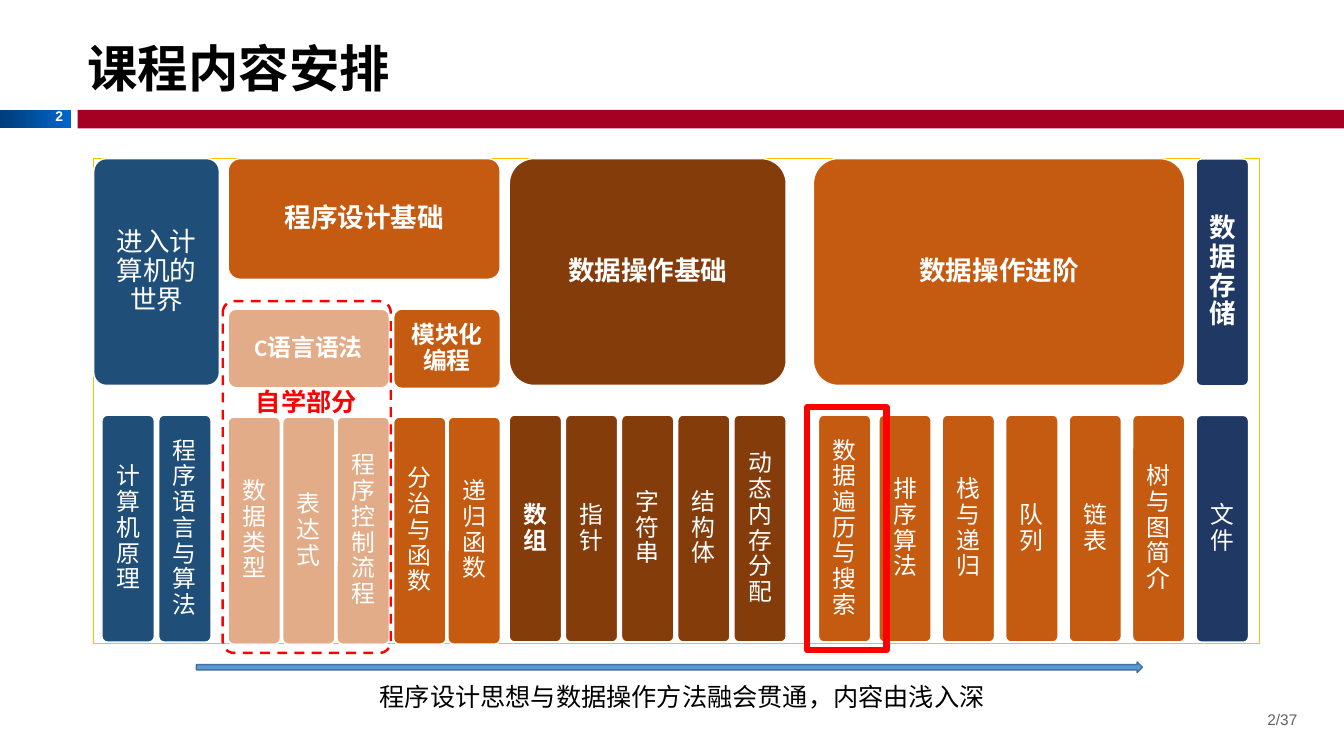
from lxml.etree import SubElement
from pptx import Presentation
from pptx.dml.color import RGBColor
from pptx.enum.dml import MSO_LINE_DASH_STYLE as Dash
from pptx.enum.shapes import MSO_SHAPE as Shape
from pptx.enum.text import MSO_ANCHOR as Anchor, PP_ALIGN as Align
from pptx.oxml.ns import qn
from pptx.util import Pt

COLORS = {
    "black": "000000", "white": "FFFFFF", "grey": "636363",
    "crimson": "A50021", "red": "FF0000", "gold": "FFC000",
    "deep blue": "003C79", "bright blue": "0066CC",
    "blue": "1F4E79", "orange": "C55A11", "brown": "843C0B", "navy": "203864",
    "arrow": "5B9BD5", "arrow edge": "43739E",
}

deck = Presentation()
deck.slide_width, deck.slide_height = Pt(960), Pt(540)
page = deck.slides.add_slide(deck.slide_layouts[6])


def write(box, text, size=18, color="black", bold=False, font="Calibri", align=Align.LEFT,
          anchor=Anchor.TOP, wrap=True, inset=None, spacing=None):
    frame = box.text_frame
    frame.word_wrap = wrap
    frame.vertical_anchor = anchor
    if inset is not None:
        frame.margin_left = frame.margin_right = Pt(inset)
        frame.margin_top = frame.margin_bottom = Pt(inset)
    para = frame.paragraphs[0]
    para.alignment = align
    if spacing:
        para.line_spacing = spacing
    span = para.add_run()
    span.text = text
    span.font.size = Pt(size)
    span.font.bold = bold
    span.font.name = font
    span.font.color.rgb = RGBColor.from_string(COLORS[color])
    SubElement(span._r.get_or_add_rPr(), qn("a:ea")).set("typeface", "Noto Sans CJK SC")


def draw(kind, left, top, width, height, fill=None, line=None, weight=1, corner=None, alpha=None):
    """Add a preset shape; alpha is the opacity of its fill in percent."""
    shape = page.shapes.add_shape(kind, Pt(left), Pt(top), Pt(width), Pt(height))
    shape.shadow.inherit = False
    if corner is not None:
        shape.adjustments[0] = corner
    if fill:
        shape.fill.solid()
        shape.fill.fore_color.rgb = RGBColor.from_string(COLORS[fill])
        if alpha:
            tint = shape.fill._xPr.find(qn("a:solidFill"))[0]
            SubElement(tint, qn("a:alpha")).set("val", str(alpha * 1000))
    else:
        shape.fill.background()
    if line:
        shape.line.color.rgb = RGBColor.from_string(COLORS[line])
        shape.line.width = Pt(weight)
    else:
        shape.line.fill.background()
    return shape


# Header band
number_band = draw(Shape.RECTANGLE, 0, 78.5, 51, 13.2, fill="deep blue")
number_band.fill.gradient()
number_band.fill.gradient_angle = 0
for stop, shade in zip(number_band.fill.gradient_stops, ("deep blue", "bright blue")):
    stop.color.rgb = RGBColor.from_string(COLORS[shade])
draw(Shape.RECTANGLE, 55.4, 78.5, 904.6, 13.2, fill="crimson")

draw(Shape.RECTANGLE, 67, 113, 833, 347, line="gold", weight=0.75)

# Topic cards: text, left, top, width, height, fill, size, bold, inset, corner, alpha
cards = [
    ("进入计算机的世界", 67, 113.3, 89.7, 162, "blue", 19, False, 8.6, 0.1, None),
    ("程序设计基础", 163, 113.3, 194.3, 86.2, "orange", 19, True, 7.9, 0.1, None),
    ("C语言语法", 163, 220.8, 115.2, 56.2, "orange", 17, True, 6.5, 0.1, 50),
    ("模块化编程", 281.2, 220.8, 76.1, 56.6, "orange", 17, True, 6.5, 0.1, None),
    ("数据操作基础", 363.8, 113.3, 197.8, 162, "brown", 19, True, 10, 0.11, None),
    ("数据操作进阶", 581, 113.3, 265.3, 162, "orange", 19, True, 7.2, 0.11, None),
    ("数据存储", 854.5, 113.5, 37.3, 162, "navy", 19, True, 6.5, 0.1, None),
]
for text, left, top, width, height, fill, size, bold, inset, corner, alpha in cards:
    card = draw(Shape.ROUNDED_RECTANGLE, left, top, width, height, fill=fill,
                line="white", corner=corner, alpha=alpha)
    write(card, text, size=size, color="white", bold=bold, align=Align.CENTER,
          anchor=Anchor.MIDDLE, inset=inset, spacing=0.9)

# Lesson columns: left, step, top, fill, alpha, lessons
lesson_groups = [
    (72.9, 40.5, 296.6, "blue", None, ["计算机原理", "程序语言与算法"]),
    (163, 38.9, 298, "orange", 50, ["数据类型", "表达式", "程序控制流程"]),
    (281.2, 38.9, 298, "orange", None, ["分治与函数", "递归函数"]),
    (363.8, 40.1, 296.5, "brown", None, ["数组", "指针", "字符串", "结构体", "动态内存分配"]),
    (584.7, 0, 296.5, "orange", None, ["数据遍历与搜索"]),
    (627.8, 45.3, 296.5, "orange", None, ["排序算法", "栈与递归", "队列", "链表", "树与图简介"]),
    (854.5, 0, 296.7, "navy", None, ["文件"]),
]
for left, step, top, fill, alpha, lessons in lesson_groups:
    for index, lesson in enumerate(lessons):
        column = draw(Shape.ROUNDED_RECTANGLE, left + index * step, top, 37.3, 162,
                      fill=fill, line="white", corner=0.1, alpha=alpha)
        write(column, lesson, size=17, color="white", bold=lesson == "数组",
              align=Align.CENTER, anchor=Anchor.MIDDLE, inset=6.5, spacing=0.9)

# Progress arrow and highlights
draw(Shape.RIGHT_ARROW, 140.3, 472.9, 675.7, 7.5, fill="arrow", line="arrow edge")
self_study = draw(Shape.ROUNDED_RECTANGLE, 159.1, 215.1, 120, 251.3,
                  line="red", weight=1.75, corner=0.067)
self_study.line.dash_style = Dash.DASH
draw(Shape.RECTANGLE, 576.6, 290.8, 56.7, 173.6, line="red", weight=4.5)

# Labels: text, left, top, width, height, format
labels = [
    ("课程内容安排", 55.4, 5.8, 904.6, 90,
     dict(size=36, bold=True, font="Noto Sans CJK SC", anchor=Anchor.MIDDLE, spacing=0.9)),
    ("2", 25.2, 73.4, 26.9, 19.4,
     dict(size=10, color="white", bold=True, font="Arial", align=Align.RIGHT, wrap=False)),
    ("自学部分", 173.5, 272.2, 90.7, 29,
     dict(color="red", bold=True, align=Align.CENTER)),
    ("程序设计思想与数据操作方法融会贯通，内容由浅入深", 264.2, 483.1, 502.6, 31.7, dict()),
    ("2/37", 856, 502.6, 77.8, 22.3,
     dict(size=11, color="grey", font="Arial", align=Align.RIGHT, anchor=Anchor.MIDDLE)),
]
for text, left, top, width, height, style in labels:
    write(page.shapes.add_textbox(Pt(left), Pt(top), Pt(width), Pt(height)), text, **style)

deck.save("out.pptx")
